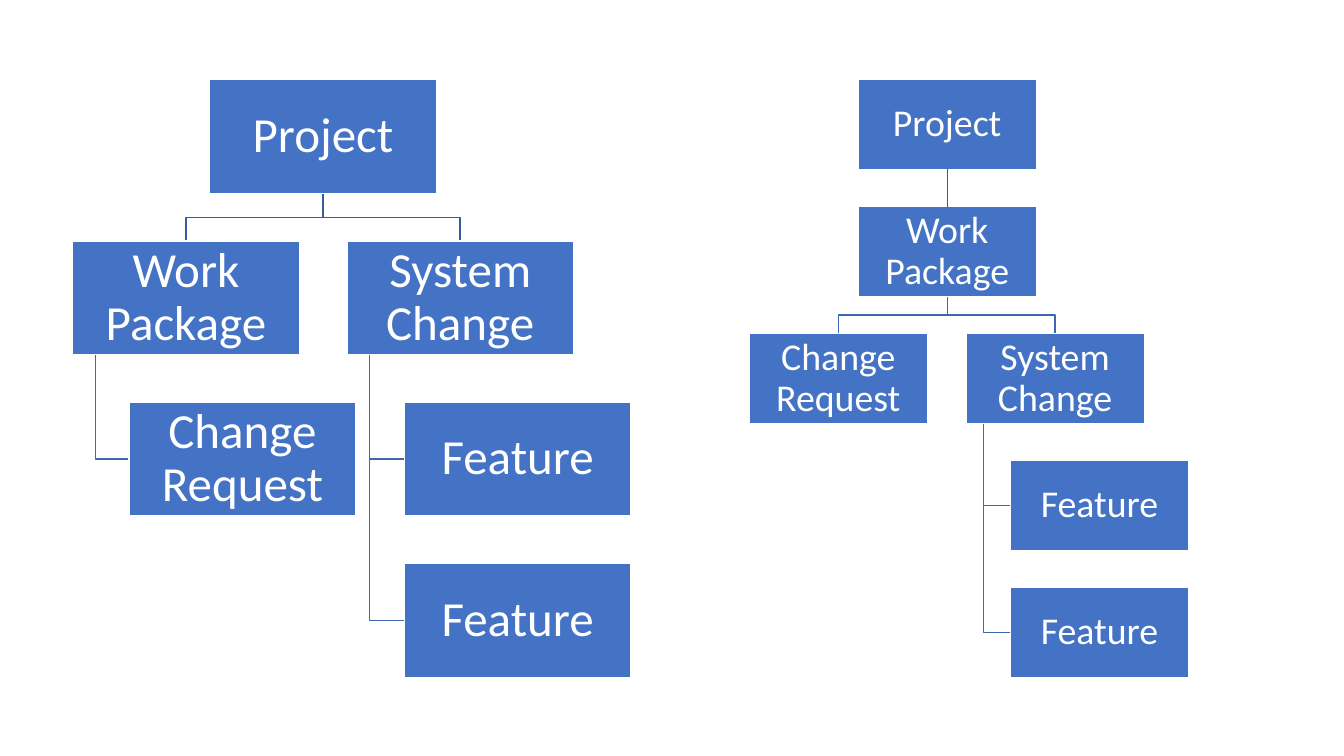
from dataclasses import dataclass

from lxml.etree import SubElement
from pptx import Presentation
from pptx.dml.color import RGBColor
from pptx.enum.shapes import MSO_CONNECTOR as Connector, MSO_SHAPE as Shape
from pptx.enum.text import MSO_ANCHOR as Anchor, PP_ALIGN as Align
from pptx.oxml.ns import qn
from pptx.util import Pt

EMU_PER_PX = 9144  # 100 px to the inch
BOX_FILL, WHITE = "4472C4", "FFFFFF"
ROOT_LINK, LOWER_LINK = "365B9D", "3E67B2"


@dataclass(frozen=True)
class Node:
    label: str
    left: int
    row: int
    parent: int | None = None
    hanging: bool = False


@dataclass(frozen=True)
class Tree:
    width: int
    height: int
    pitch: int
    font_size: int
    nodes: tuple[Node, ...]
    top: int = 79

    def node_top(self, node: Node) -> int:
        return self.top + node.row * self.pitch

    def center(self, node: Node) -> float:
        return node.left + self.width / 2


TREES = (
    Tree(177, 89, 126, 27, (
        Node("Project", 851, 0),
        Node("Work Package", 851, 1, 0),
        Node("Change Request", 743, 2, 1),
        Node("System Change", 958, 2, 1),
        Node("Feature", 1002, 3, 3, hanging=True),
        Node("Feature", 1002, 4, 3, hanging=True),
    )),
    Tree(225, 113, 160, 35, (
        Node("Project", 208, 0),
        Node("Work Package", 72, 1, 0),
        Node("Change Request", 128, 2, 1, hanging=True),
        Node("System Change", 344, 1, 0),
        Node("Feature", 401, 2, 3, hanging=True),
        Node("Feature", 401, 3, 3, hanging=True),
    )),
)


def px(value: float) -> int:
    return round(value * EMU_PER_PX)


def color(hex_code: str) -> RGBColor:
    return RGBColor.from_string(hex_code)


def set_line(line, hex_code: str) -> None:
    line.color.rgb = color(hex_code)
    line.width = Pt(1)


def is_straight(tree: Tree, node: Node) -> bool:
    return not node.hanging and node.left == tree.nodes[node.parent].left


def link_color(node: Node) -> str:
    return ROOT_LINK if node.parent == 0 else LOWER_LINK


def link_points(tree: Tree, node: Node) -> list[tuple[int, int]]:
    """Corners of the bent line from a node's parent to the node."""
    parent = tree.nodes[node.parent]
    start_y, end_y = tree.node_top(parent) + tree.height, tree.node_top(node)
    if node.hanging:
        stem = parent.left + tree.width / 10
        middle = end_y + tree.height / 2
        corners = [(stem, start_y), (stem, middle), (node.left, middle)]
    else:
        start_x, end_x = tree.center(parent), tree.center(node)
        middle = (start_y + end_y) / 2
        corners = [(start_x, start_y), (start_x, middle), (end_x, middle), (end_x, end_y)]
    return [(px(x), px(y)) for x, y in corners]


def add_bent_link(shapes, tree: Tree, node: Node) -> None:
    start, *corners = link_points(tree, node)
    builder = shapes.build_freeform(*start)
    builder.add_line_segments(corners, close=False)
    link = builder.convert_to_shape()
    link.shadow.inherit = False
    link.fill.background()
    set_line(link.line, link_color(node))


def add_straight_link(shapes, upper, lower, hex_code: str) -> None:
    link = shapes.add_connector(Connector.STRAIGHT, 0, 0, 0, 0)
    link.begin_connect(upper, 2)
    link.end_connect(lower, 0)
    set_line(link.line, hex_code)
    SubElement(link._element.spPr, qn("a:effectLst"))


def write_text(frame, text: str, *, size: int, font: str = "Calibri",
               hex_code: str = WHITE, inset: int = 2) -> None:
    frame.word_wrap = True
    frame.vertical_anchor = Anchor.MIDDLE
    frame.margin_left = frame.margin_right = px(inset)
    frame.margin_top = frame.margin_bottom = px(inset)
    para = frame.paragraphs[0]
    para.alignment = Align.CENTER
    para.line_spacing = 0.9
    span = para.add_run()
    span.text = text
    span.font.name = font
    span.font.size = Pt(size)
    span.font.color.rgb = color(hex_code)


def add_box(shapes, tree: Tree, node: Node):
    box = shapes.add_shape(Shape.RECTANGLE, px(node.left), px(tree.node_top(node)),
                           px(tree.width), px(tree.height))
    box.shadow.inherit = False
    box.fill.solid()
    box.fill.fore_color.rgb = color(BOX_FILL)
    set_line(box.line, WHITE)
    write_text(box.text_frame, node.label, size=tree.font_size)
    return box


def draw_tree(page, tree: Tree) -> None:
    shapes = page.shapes.add_group_shape().shapes
    children = [node for node in tree.nodes if node.parent is not None]
    for node in children:
        if not is_straight(tree, node):
            add_bent_link(shapes, tree, node)
    boxes = {node: add_box(shapes, tree, node) for node in tree.nodes}
    for node in children:
        if is_straight(tree, node):
            parent = tree.nodes[node.parent]
            add_straight_link(shapes, boxes[parent], boxes[node], link_color(node))


def main() -> None:
    deck = Presentation()
    deck.slide_width, deck.slide_height = px(1333), px(750)
    page = deck.slides.add_slide(deck.slide_layouts[6])
    for tree in TREES:
        draw_tree(page, tree)
    deck.save("out.pptx")


if __name__ == "__main__":
    main()
